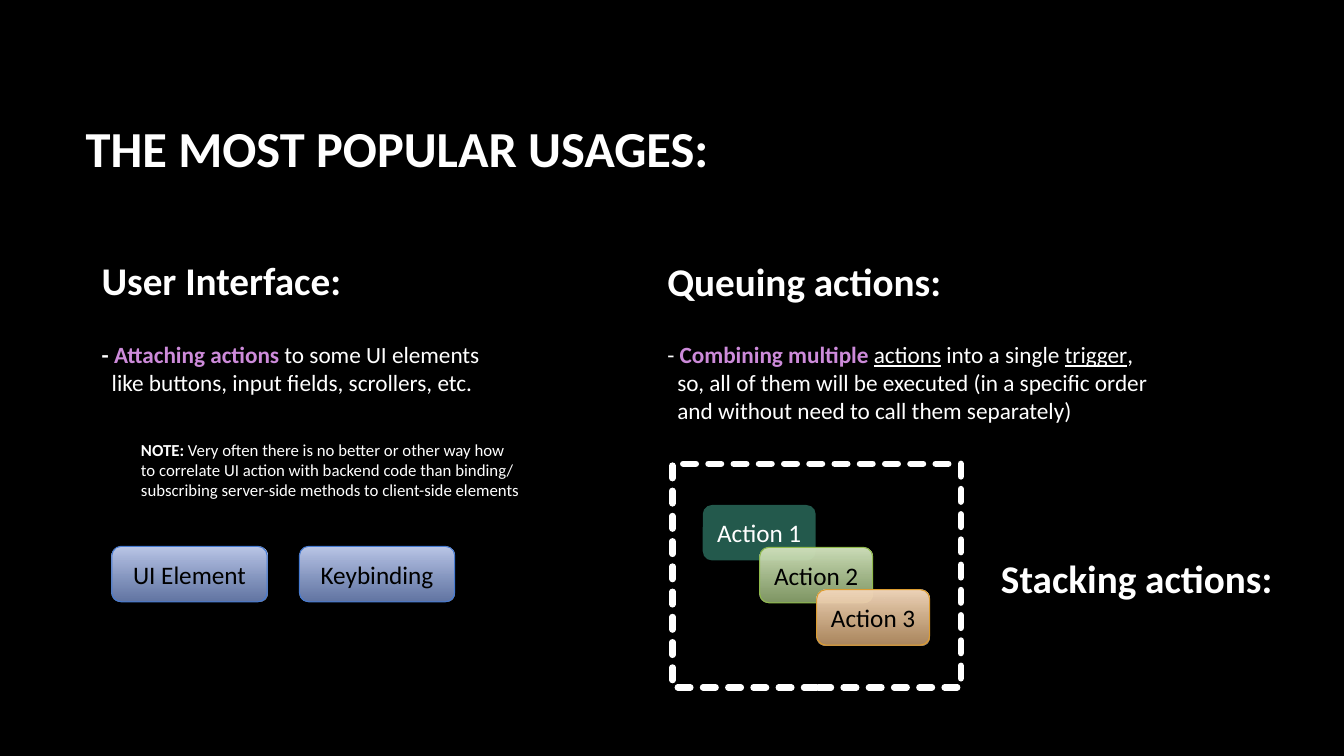
from dataclasses import dataclass

from lxml.etree import SubElement
from pptx import Presentation
from pptx.dml.color import RGBColor
from pptx.enum.dml import MSO_LINE
from pptx.enum.shapes import MSO_SHAPE
from pptx.enum.text import MSO_ANCHOR, MSO_AUTO_SIZE, PP_ALIGN
from pptx.oxml.ns import qn
from pptx.util import Inches, Pt


@dataclass(frozen=True)
class Theme:
    font: str = "Calibri"
    back: str = "000000"
    dark: str = "000000"
    light: str = "FFFFFF"
    accent: str = "CD8BDA"
    title: float = 36
    head: float = 28
    body: float = 16.6
    note: float = 12
    label: float = 18


T = Theme()

# A style lists the marks of a run: b bold, u underlined, a accent colour.
TITLE = "THE MOST POPULAR USAGES:"
HEADS = [
    ("User Interface:", (0.91, 2.43, 5.15, 0.63)),
    ("Queuing actions:", (6.52, 2.44, 5.16, 0.63)),
    ("Stacking actions:", (9.83, 5.39, 3.04, 0.63)),
]
ATTACH = [
    ("- ", "b"), ("Attaching actions", "ba"),
    (" to some UI elements\nlike buttons, input fields, scrollers, etc.", ""),
]
NOTE = [
    ("NOTE:", "b"),
    (" Very often there is no better or other way how\n"
     "to correlate UI action with backend code than binding/\n"
     "subscribing server-side methods to client-side elements", ""),
]
COMBINE = [
    ("- ", ""), ("Combining multiple", "ba"), (" ", ""), ("actions", "u"),
    (" into a single ", ""), ("trigger", "u"),
    (",\nso, all of them will be executed (in a specific order\n"
     "and without need to call them separately)", ""),
]

# Each look: fill colours from top to bottom, opacity of the last, line, text.
BLUE = (("BCC8E9", "859EDA"), 74, "477BD1", T.dark)
TEAL = (("46B298",), 50, None, T.light)
GREEN = (("CDDEB9", "ABC987"), 74, "90BA4C", T.dark)
SAND = (("EFD5BA", "E4B47E"), 74, "DD9D31", T.dark)
INPUTS = ["UI Element", "Keybinding"]
ACTIONS = [("Action 1", TEAL), ("Action 2", GREEN), ("Action 3", SAND)]


def rgb(code):
    return RGBColor.from_string(code)


def write(para, runs, size, color=T.light, align=PP_ALIGN.LEFT,
          left=0, hang=0, before=0):
    """Fill a paragraph with (text, style) runs; hang outdents its first line."""
    props = para._p.get_or_add_pPr()
    props.set("marL", str(Inches(left + hang)))
    props.set("indent", str(-Inches(hang)))
    para.alignment = align
    para.space_before = Pt(before)
    for text, style in runs:
        for row, line in enumerate(text.split("\n")):
            if row:
                para.add_line_break()
            run = para.add_run()
            run.text = line
            font = run.font
            font.name, font.size = T.font, Pt(size)
            font.bold, font.underline = "b" in style, "u" in style
            font.color.rgb = rgb(T.accent if "a" in style else color)


def add_text(slide, box, anchor=MSO_ANCHOR.TOP):
    frame = slide.shapes.add_textbox(*map(Inches, box)).text_frame
    frame.word_wrap = True
    frame.vertical_anchor = anchor
    return frame


def add_button(slide, text, box, look):
    fills, alpha, edge, color = look
    shape = slide.shapes.add_shape(MSO_SHAPE.ROUNDED_RECTANGLE, *map(Inches, box))
    shape.shadow.inherit = False
    if len(fills) == 1:
        shape.fill.solid()
        shape.fill.fore_color.rgb = rgb(fills[0])
    else:
        shape.fill.gradient()
        shape.fill.gradient_angle = 270
        for stop, code in zip(shape.fill.gradient_stops, fills):
            stop.color.rgb = rgb(code)
    last = list(shape._element.spPr.iter(qn("a:srgbClr")))[-1]
    SubElement(last, qn("a:alpha")).set("val", str(alpha * 1000))
    if edge:
        shape.line.color.rgb = rgb(edge)
        shape.line.width = Pt(0.75)
    else:
        shape.line.fill.background()
    frame = shape.text_frame
    frame.vertical_anchor = MSO_ANCHOR.MIDDLE
    write(frame.paragraphs[0], [(text, "")], T.label, color, PP_ALIGN.CENTER)


def add_frame(slide, box):
    shape = slide.shapes.add_shape(MSO_SHAPE.RECTANGLE, *map(Inches, box))
    shape.shadow.inherit = False
    shape.fill.background()
    shape.line.color.rgb = rgb(T.light)
    shape.line.width = Pt(4.5)
    shape.line.dash_style = MSO_LINE.SQUARE_DOT
    line = shape.line._get_or_add_ln()
    line.set("cap", "rnd")
    line.find(qn("a:prstDash")).set("val", "sysDash")


def main():
    deck = Presentation()
    deck.slide_width, deck.slide_height = Inches(13.33), Inches(7.5)
    slide = deck.slides.add_slide(deck.slide_layouts[5])
    slide.background.fill.solid()
    slide.background.fill.fore_color.rgb = rgb(T.back)

    title = slide.shapes.title
    title.left, title.top = Inches(0.75), Inches(0.67)
    title.width, title.height = Inches(11.08), Inches(1.59)
    title.text_frame.auto_size = MSO_AUTO_SIZE.NONE
    title.text_frame.vertical_anchor = MSO_ANCHOR.MIDDLE
    write(title.text_frame.paragraphs[0], [(TITLE, "b")], T.title)

    for text, box in HEADS:
        frame = add_text(slide, box, MSO_ANCHOR.BOTTOM)
        write(frame.paragraphs[0], [(text, "b")], T.head)

    attach = add_text(slide, (0.91, 3.33, 4.75, 1.55))
    write(attach.paragraphs[0], ATTACH, T.body, hang=0.1)
    write(attach.add_paragraph(), NOTE, T.note, left=0.39, before=31)
    combine = add_text(slide, (6.52, 3.33, 5.48, 1.3))
    write(combine.paragraphs[0], COMBINE, T.body, hang=0.1)

    for col, text in enumerate(INPUTS):
        add_button(slide, text, (1.11 + 1.86 * col, 5.42, 1.54, 0.55), BLUE)
    for step, (text, look) in enumerate(ACTIONS):
        box = (6.97 + 0.565 * step, 5.01 + 0.42 * step, 1.12, 0.55)
        add_button(slide, text, box, look)
    add_frame(slide, (6.67, 4.6, 2.86, 2.22))

    deck.save("out.pptx")


if __name__ == "__main__":
    main()
